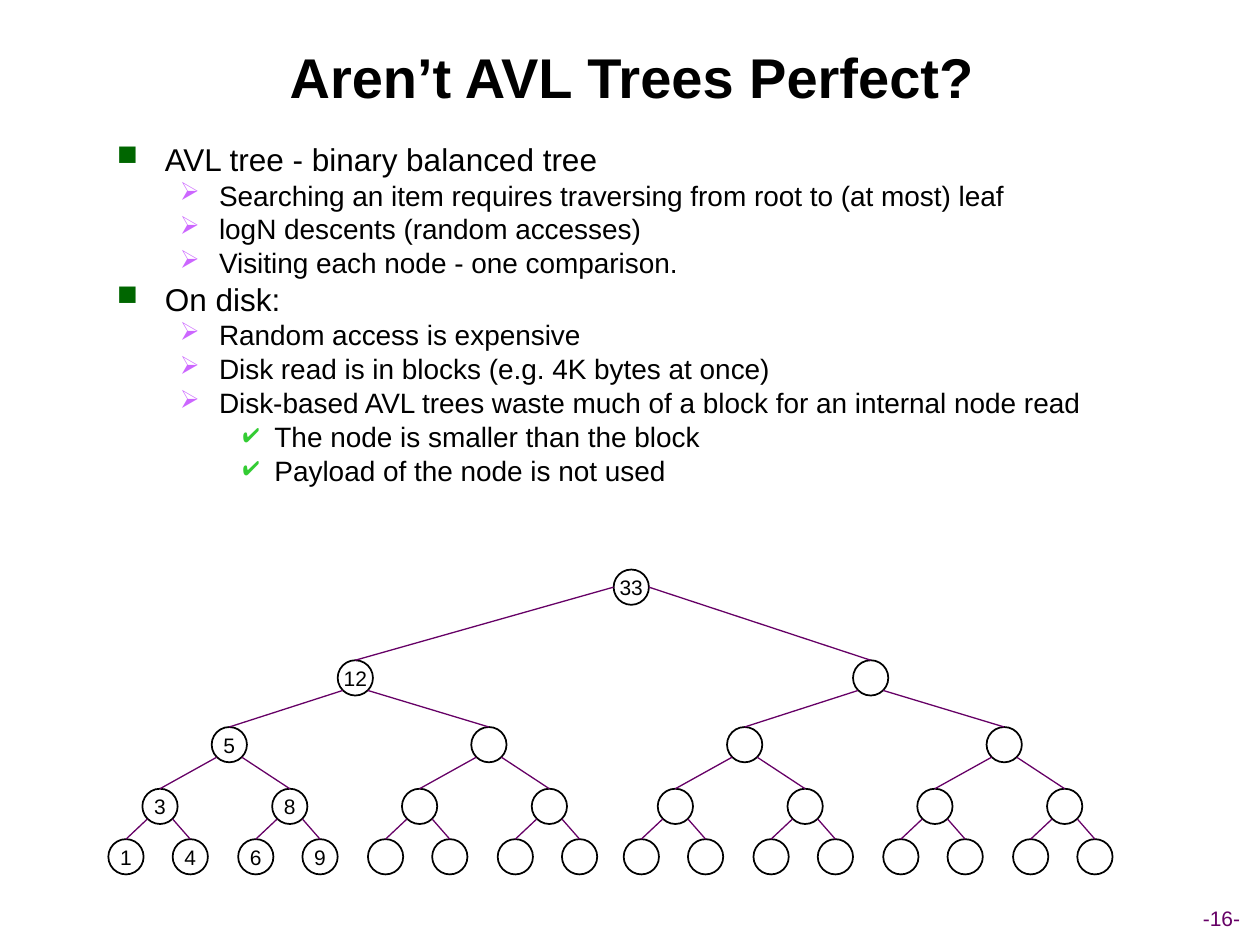
from lxml.etree import SubElement
from pptx import Presentation
from pptx.dml.color import RGBColor
from pptx.enum.shapes import MSO_CONNECTOR, MSO_SHAPE
from pptx.enum.text import MSO_ANCHOR, PP_ALIGN
from pptx.oxml.ns import qn
from pptx.util import Inches, Pt

COLORS = {
    "text": "000000",
    "edge": "660066",
    "square": "006600",
    "arrow": "CC66FF",
    "check": "33CC33",
}
LEVELS = [
    ("■", "square", 0.38, 0.38, 18, 4.5),
    ("➢", "arrow", 0.81, 0.31, 16, 4),
    ("✔", "check", 1.25, 0.25, 16, 4),
]
POINTS = [
    (0, "AVL tree - binary balanced tree"),
    (1, "Searching an item requires traversing from root to (at most) leaf"),
    (1, "logN descents (random accesses)"),
    (1, "Visiting each node - one comparison."),
    (0, "On disk:"),
    (1, "Random access is expensive"),
    (1, "Disk read is in blocks (e.g. 4K bytes at once)"),
    (1, "Disk-based AVL trees waste much of a block for an internal node read"),
    (2, "The node is smaller than the block"),
    (2, "Payload of the node is not used"),
]
KEYS = {1: "33", 2: "12", 4: "5", 8: "3", 9: "8", 16: "1", 17: "4", 18: "6", 19: "9"}
TOPS = [4.52, 5.24, 5.77, 6.26, 6.66]
SHIFTS = [(-2.19, 1.9), (-1, 1.06), (-0.55, 0.48), (-0.27, 0.24)]
SIZE = 0.28


def color(name):
    return RGBColor.from_string(COLORS[name])


def style(para, size, name="text", bold=False):
    font = para.font
    font.name = "Arial"
    font.size = Pt(size)
    font.bold = bold
    font.color.rgb = color(name)


def add_box(slide, left, top, width, height):
    box = slide.shapes.add_textbox(
        Inches(left), Inches(top), Inches(width), Inches(height))
    box.text_frame.word_wrap = True
    return box.text_frame


def add_line(slide, area, text, size, name="text", bold=False):
    frame = add_box(slide, *area)
    frame.vertical_anchor = MSO_ANCHOR.MIDDLE
    para = frame.paragraphs[0]
    para.text = text
    para.alignment = PP_ALIGN.CENTER
    style(para, size, name, bold)


def add_bullet(para, mark, name, left, hang):
    props = para._p.get_or_add_pPr()
    props.set("marL", str(Inches(left)))
    props.set("indent", str(-Inches(hang)))
    tint = SubElement(props, qn("a:buClr"))
    SubElement(tint, qn("a:srgbClr"), val=COLORS[name])
    SubElement(props, qn("a:buSzPct"), val="90000")
    SubElement(props, qn("a:buChar"), char=mark)


def add_points(slide):
    frame = add_box(slide, 0.83, 1.12, 8.38, 2.79)
    for index, (level, text) in enumerate(POINTS):
        mark, name, left, hang, size, gap = LEVELS[level]
        para = frame.add_paragraph() if index else frame.paragraphs[0]
        para.text = text
        para.level = level
        add_bullet(para, mark, name, left, hang)
        para.line_spacing = 0.8
        para.space_before = Pt(gap if index else 0)
        style(para, size)


def add_node(slide, left, top, key):
    node = slide.shapes.add_shape(
        MSO_SHAPE.OVAL, Inches(left), Inches(top), Inches(SIZE), Inches(SIZE))
    node.shadow.inherit = False
    node.fill.background()
    node.line.color.rgb = color("text")
    node.line.width = Pt(1)
    if key:
        frame = node.text_frame
        frame.margin_left = frame.margin_right = 0
        frame.margin_top = frame.margin_bottom = 0
        frame.word_wrap = False
        frame.vertical_anchor = MSO_ANCHOR.MIDDLE
        para = frame.paragraphs[0]
        para.text = key
        para.alignment = PP_ALIGN.CENTER
        style(para, 12)
    return node


def add_edge(slide, x, y, child):
    edge = slide.shapes.add_connector(
        MSO_CONNECTOR.STRAIGHT, Inches(x), Inches(y), child.left, child.top)
    edge.end_connect(child, 0)
    edge.line.color.rgb = color("edge")
    edge.line.width = Pt(0.75)
    SubElement(edge._element.spPr, qn("a:effectLst"))


def add_tree(slide, left, index=1, depth=0):
    top = TOPS[depth]
    node = add_node(slide, left, top, KEYS.get(index))
    if depth < len(SHIFTS):
        inset, drop = (0.04, 0.24) if depth else (0, SIZE / 2)
        starts = (left + inset, left + SIZE - inset)
        for side, (x, shift) in enumerate(zip(starts, SHIFTS[depth])):
            child = add_tree(slide, left + shift, 2 * index + side, depth + 1)
            add_edge(slide, x, top + drop, child)
    return node


def main():
    deck = Presentation()
    deck.slide_width = Inches(10)
    deck.slide_height = Inches(7.5)
    slide = deck.slides.add_slide(deck.slide_layouts[6])
    add_line(slide, (9.16, 7.14, 1.07, 0.3), "-16-", 12, "edge")
    add_line(slide, (0.38, 0.2, 9.27, 0.81), "Aren’t AVL Trees Perfect?", 32, bold=True)
    add_points(slide)
    add_tree(slide, 4.87)
    deck.save("out.pptx")


if __name__ == "__main__":
    main()
